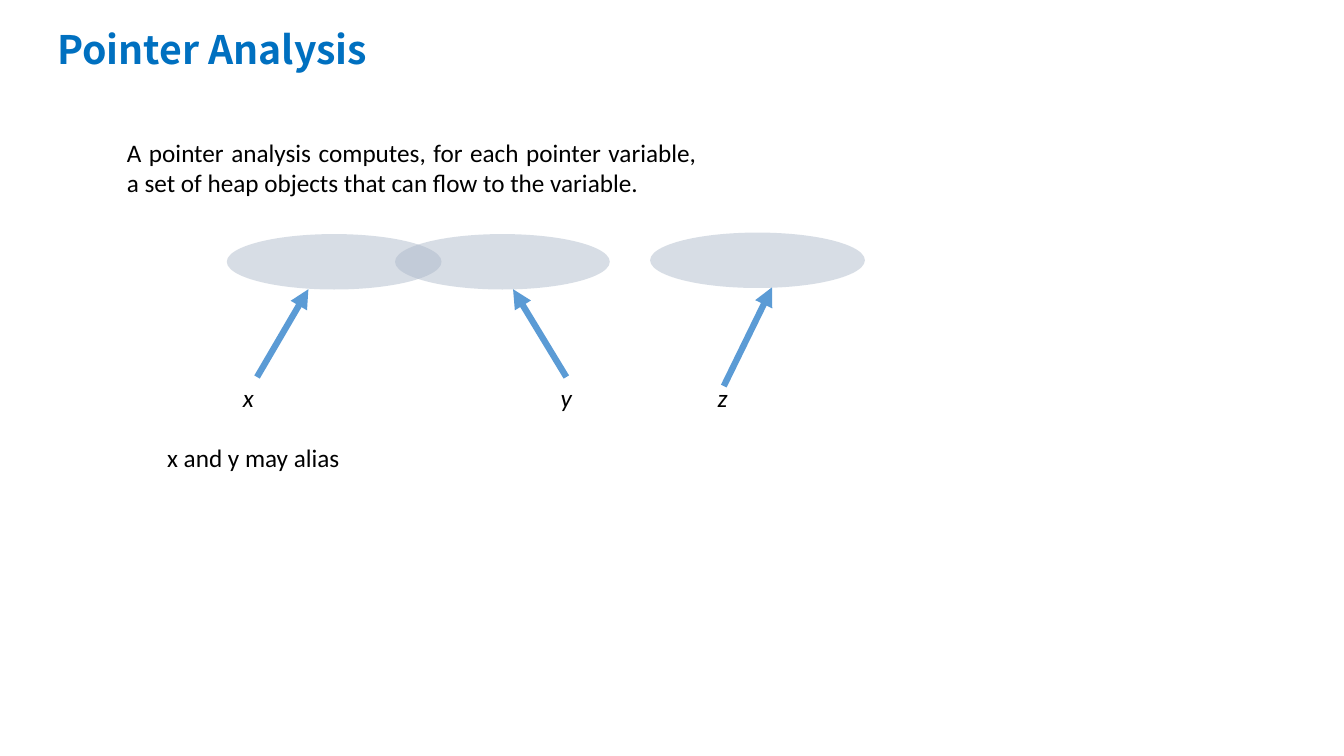
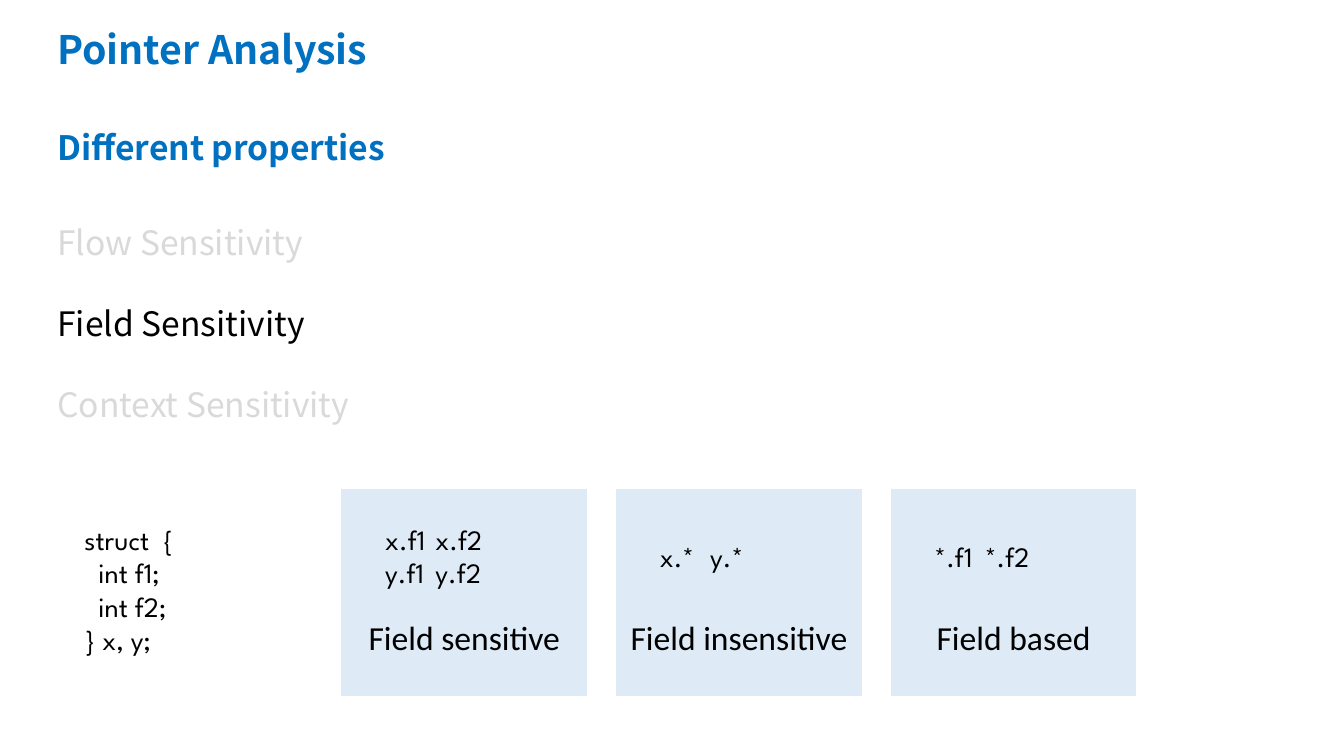
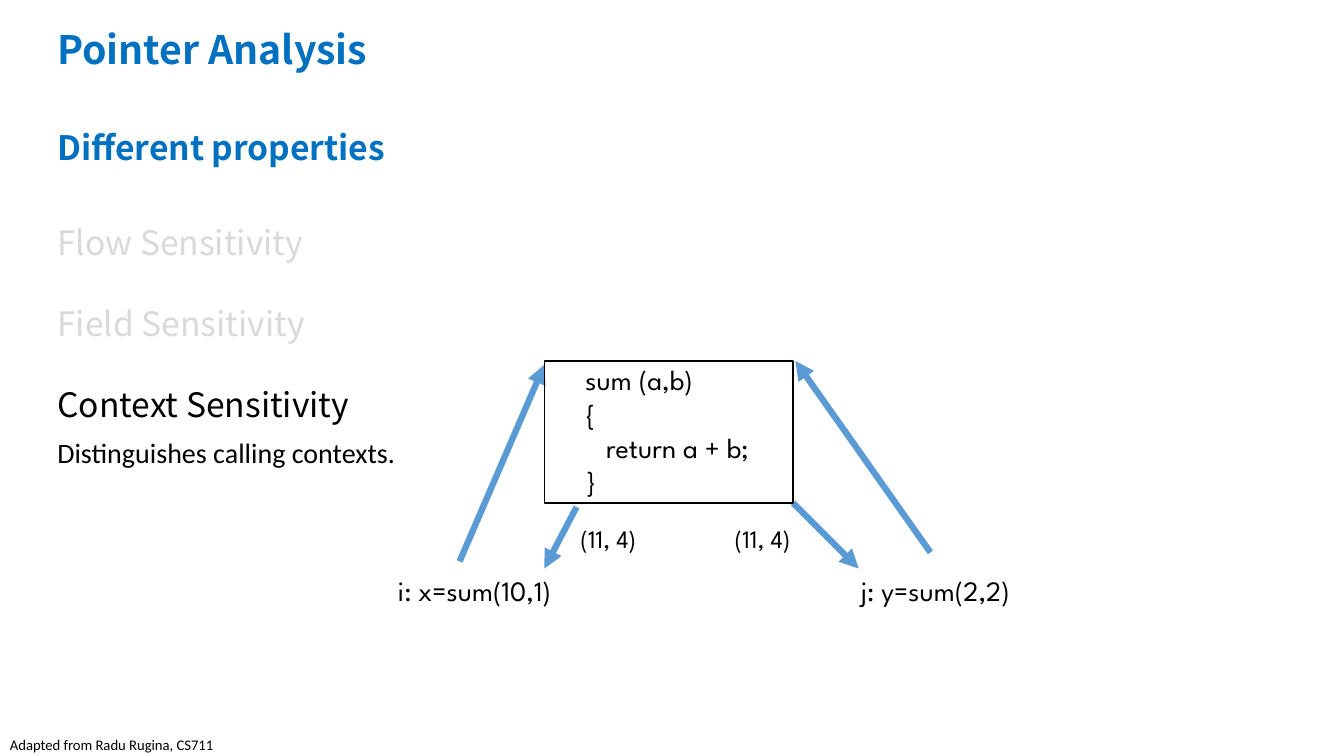
from dataclasses import dataclass

from lxml.etree import SubElement
from pptx import Presentation
from pptx.dml.color import RGBColor
from pptx.enum.shapes import MSO_CONNECTOR as Connector, MSO_SHAPE as Preset
from pptx.enum.text import MSO_ANCHOR as Anchor, PP_ALIGN as Align
from pptx.oxml.ns import qn
from pptx.util import Pt


@dataclass(frozen=True)
class Theme:
    heading_font: str = "Noto Sans CJK TC"
    body_font: str = "Calibri"
    code_font: str = "League Spartan"
    black: str = "000000"
    white: str = "FFFFFF"
    heading: str = "0070C0"
    muted: str = "D9D9D9"
    arrow: str = "5B9BD5"
    heap: str = "ADB9CA"
    card: str = "DEEBF7"
    title_size: float = 28
    heading_size: float = 24
    code_size: float = 20
    body_size: float = 18
    footer_size: float = 10.5
    heading_leading: float = 1.29
    heading_left: float = 33.84


PROPERTIES = ["Flow Sensitivity", "Field Sensitivity", "Context Sensitivity"]


class Deck:
    def __init__(self, theme):
        self.theme = theme
        self.presentation = Presentation()
        self.presentation.slide_width = Pt(960)
        self.presentation.slide_height = Pt(540)
        self.slide = None

    def new_slide(self):
        layout = self.presentation.slide_layouts[6]
        self.slide = self.presentation.slides.add_slide(layout)
        self.heading("Pointer Analysis", 12.24, self.theme.title_size)

    def text(self, lines, left, top, width, height, size=None, font=None,
             color=None, bold=False, italic=False, align=Align.LEFT, anchor=Anchor.TOP):
        box = self.slide.shapes.add_textbox(Pt(left), Pt(top), Pt(width), Pt(height))
        frame = box.text_frame
        frame.word_wrap = True
        frame.vertical_anchor = anchor
        frame.text = lines
        for paragraph in frame.paragraphs:
            paragraph.alignment = align
            for run in paragraph.runs:
                run.font.name = font or self.theme.body_font
                run.font.size = Pt(size or self.theme.body_size)
                run.font.bold = bold
                run.font.italic = italic
                run.font.color.rgb = RGBColor.from_string(color or self.theme.black)
        return box

    def code(self, lines, left, top, width, height, size=None, anchor=Anchor.TOP):
        return self.text(lines, left, top, width, height, size or self.theme.code_size,
                         self.theme.code_font, anchor=anchor)

    def heading(self, words, top, size):
        box = self.text(words, self.theme.heading_left, top, 377, 41, size,
                        self.theme.heading_font, self.theme.heading, bold=True)
        box.text_frame.paragraphs[0].line_spacing = Pt(size * self.theme.heading_leading)

    def properties(self, current):
        theme = self.theme
        self.heading("Different properties", 84.96, theme.heading_size)
        box = self.text("\n".join(PROPERTIES), theme.heading_left, 152.64, 644, 154,
                        theme.heading_size, theme.heading_font, theme.muted)
        for index, paragraph in enumerate(box.text_frame.paragraphs):
            paragraph.line_spacing = Pt(theme.heading_size * theme.heading_leading)
            if index:
                paragraph.space_before = Pt(27)
            if paragraph.text == current:
                paragraph.runs[0].font.color.rgb = RGBColor.from_string(theme.black)

    def shape(self, preset, left, top, width, height, fill=None, line=None, opacity=None):
        shape = self.slide.shapes.add_shape(preset, Pt(left), Pt(top), Pt(width), Pt(height))
        shape.shadow.inherit = False
        if fill:
            shape.fill.solid()
            shape.fill.fore_color.rgb = RGBColor.from_string(fill)
        else:
            shape.fill.background()
        if line:
            shape.line.color.rgb = RGBColor.from_string(line)
            shape.line.width = Pt(1)
        else:
            shape.line.fill.background()
        if opacity:
            color = next(shape.fill._xPr.iter(qn("a:srgbClr")))
            SubElement(color, qn("a:alpha")).set("val", str(opacity * 1000))

    def arrow(self, start, end, source=None):
        arrow = self.slide.shapes.add_connector(
            Connector.STRAIGHT, *(Pt(value) for value in (*start, *end)))
        arrow.line.color.rgb = RGBColor.from_string(self.theme.arrow)
        arrow.line.width = Pt(4.5)
        SubElement(arrow.line._get_or_add_ln(), qn("a:tailEnd")).set("type", "triangle")
        SubElement(arrow._element.spPr, qn("a:effectLst"))
        if source is not None:
            arrow.begin_connect(source, 0)


def aliasing_slide(deck):
    deck.new_slide()
    deck.text("A pointer analysis computes, for each pointer variable, "
              "a set of heap objects that can flow to the variable.",
              83.5, 94.3, 421.2, 51, align=Align.JUSTIFY)
    variables = {name: deck.text(name, left, 269.3, 22.3, 29, italic=True)
                 for name, left in [("x", 166.3), ("y", 393.4), ("z", 505.6)]}
    deck.arrow((183.6, 269.3), (220.3, 206.6))
    deck.arrow((404.5, 269.3), (366.5, 206.6), variables["y"])
    deck.arrow((517, 275.8), (551.5, 205.2))
    for left, top in [(162, 167.2), (282.2, 167.2), (464.4, 166.1)]:
        deck.shape(Preset.OVAL, left, top, 153.4, 39.6, deck.theme.heap, opacity=48)
    deck.text("x and y may alias", 112.3, 312.5, 421.2, 29, align=Align.JUSTIFY)


def field_slide(deck):
    deck.new_slide()
    deck.properties("Field Sensitivity")
    deck.code("struct  {\n  int f1;\n  int f2;\n} x, y;", 53.3, 369.4, 102, 104.4)
    cards = [("Field sensitive", "x.f1\tx.f2\ny.f1\ty.f2"),
             ("Field insensitive", "x.*\ty.*"),
             ("Field based", "*.f1\t*.f2")]
    for index, (label, members) in enumerate(cards):
        left = 243.4 + index * 196.2
        deck.shape(Preset.RECTANGLE, left, 348.5, 176.4, 149, deck.theme.card, deck.theme.white)
        deck.code(members, left + 24.6, 369.4, 151, 55.4, anchor=Anchor.MIDDLE)
        deck.text(label, left, 437, 176.4, 36, deck.theme.heading_size, align=Align.CENTER)


def context_slide(deck):
    theme = deck.theme
    deck.new_slide()
    deck.properties("Context Sensitivity")
    deck.text("Distinguishes calling contexts.", theme.heading_left, 307.4, 480, 31.7,
              theme.code_size)
    deck.code("sum (a,b)\n{\n   return a + b;\n}", 411.1, 255.6, 163.4, 104.4)
    deck.text("Adapted from Radu Rugina, CS711", 0, 522, 480, 18, theme.footer_size)
    deck.code("i: x=sum(10,1)", 277.2, 406.1, 175, 31.7)
    deck.code("j: y=sum(2,2)", 607.7, 406.1, 151.2, 31.7)
    for start, end in [((328.3, 401), (388.8, 260.6)),
                       ((664.6, 394.6), (568.1, 257.8)),
                       ((411.8, 362.2), (388.8, 406.1)),
                       ((566.6, 359.3), (613.4, 406.1))]:
        deck.arrow(start, end)
    for left in (407.5, 517.7):
        deck.code("(11, 4)", left, 370.5, 70.6, 29, theme.body_size)
    deck.shape(Preset.RECTANGLE, 388.8, 257.8, 177.8, 101.5, line=theme.black)


def main():
    deck = Deck(Theme())
    aliasing_slide(deck)
    field_slide(deck)
    context_slide(deck)
    deck.presentation.save("out.pptx")


if __name__ == "__main__":
    main()
